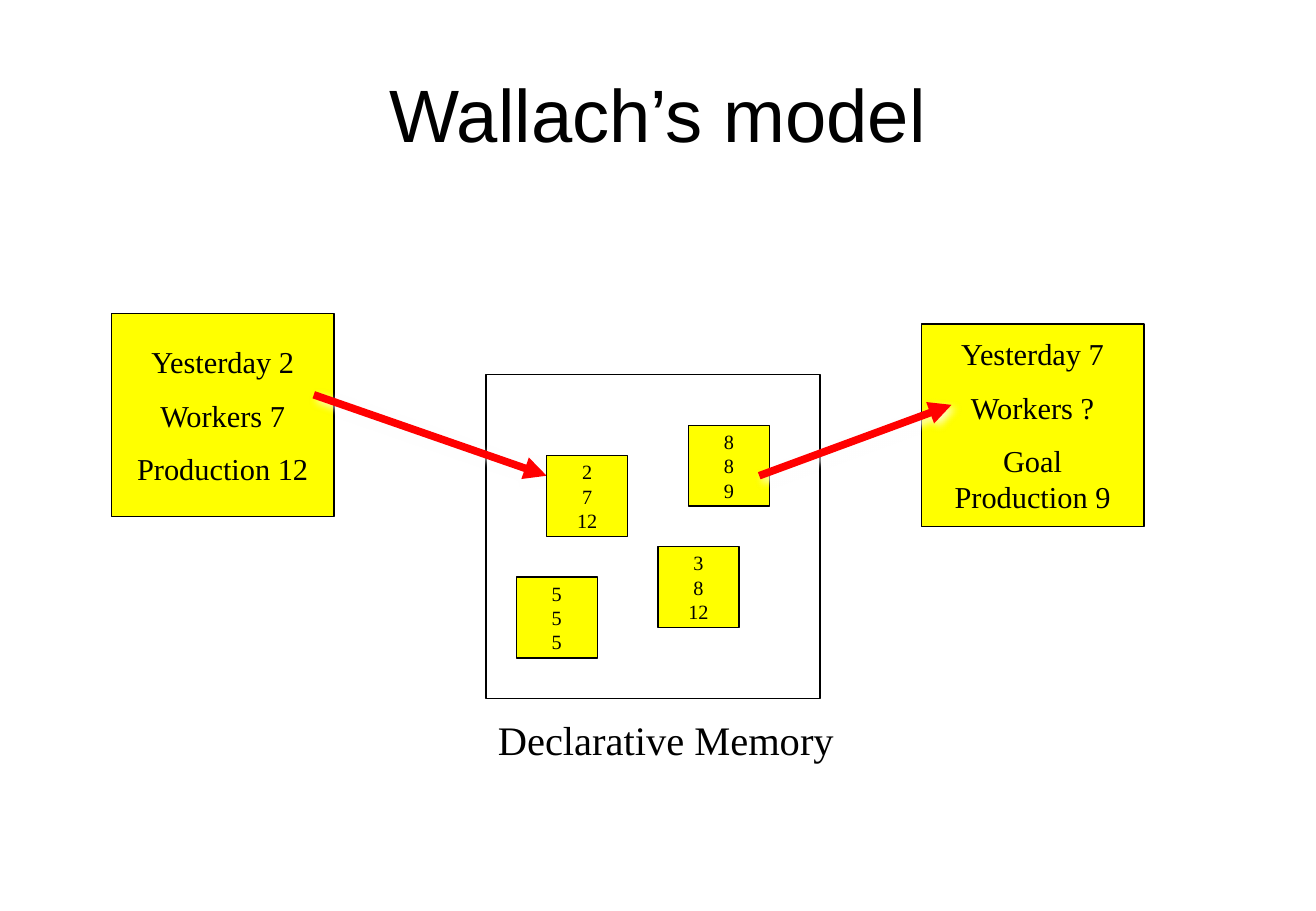
import pptx
import pptx.util
import pptx.dml.color
import pptx.enum.shapes
import pptx.enum.text
import pptx.oxml
import pptx.oxml.ns

Pt = pptx.util.Pt
RGB = pptx.dml.color.RGBColor
ALIGN = pptx.enum.text.PP_ALIGN
MIDDLE = pptx.enum.text.MSO_ANCHOR.MIDDLE

BLACK = RGB(0, 0, 0)
WHITE = RGB(255, 255, 255)
YELLOW = RGB(255, 255, 0)
RED = RGB(255, 0, 0)

SERIF = "Times New Roman"
HEAD = {"name": "Arial", "size": Pt(44)}
LABEL = {"name": SERIF, "size": Pt(24)}
CARD = {"name": SERIF, "size": Pt(18)}
CHUNK = {"name": SERIF, "size": Pt(12)}

# Left, top and lines of each memory chunk
CHUNKS = [
    (324, 270, ["2", "7", "12"]),
    (306, 342, ["5", "5", "5"]),
    (390, 324, ["3", "8", "12"]),
    (408, 252, ["8", "8", "9"]),
]

GLOW = (
    '<a:effectLst %s><a:outerShdw blurRad="63500" dist="38100" dir="2700000">'
    '<a:srgbClr val="%s"><a:alpha val="75000"/></a:srgbClr>'
    '</a:outerShdw></a:effectLst>'
)


def apply(thing, values):
    for name, value in values.items():
        setattr(thing, name, value)


def write(frame, lines, style, align, gap=0):
    """Fill a text frame, one paragraph for each line."""
    for i, line in enumerate(lines):
        para = frame.add_paragraph() if i else frame.paragraphs[0]
        para.text = line
        para.alignment = align
        if i:
            para.space_before = Pt(gap)
        for run in para.runs:
            apply(run.font, style)
            run.font.color.rgb = BLACK


def add_box(slide, left, top, width, height, fill):
    box = slide.shapes.add_shape(
        pptx.enum.shapes.MSO_SHAPE.RECTANGLE,
        Pt(left), Pt(top), Pt(width), Pt(height))
    box.shadow.inherit = False
    box.fill.solid()
    box.fill.fore_color.rgb = fill
    box.line.color.rgb = BLACK
    box.line.width = Pt(0.75)
    return box


def add_card(slide, place, lines, style, gap=0):
    frame = add_box(slide, *place, YELLOW).text_frame
    apply(frame, {"word_wrap": False, "vertical_anchor": MIDDLE})
    write(frame, lines, style, ALIGN.CENTER, gap)


def add_arrow(slide, *ends):
    arrow = slide.shapes.add_connector(
        pptx.enum.shapes.MSO_CONNECTOR.STRAIGHT, *map(Pt, ends))
    arrow.line.color.rgb = RED
    arrow.line.width = Pt(4.5)
    space = pptx.oxml.ns.nsdecls("a")
    tip = pptx.oxml.parse_xml('<a:tailEnd %s type="triangle"/>' % space)
    arrow.line._get_or_add_ln().append(tip)
    arrow._element.spPr.append(pptx.oxml.parse_xml(GLOW % (space, WHITE)))


def main():
    deck = pptx.Presentation()
    apply(deck, {"slide_width": Pt(780), "slide_height": Pt(540)})
    slide = deck.slides.add_slide(deck.slide_layouts[5])

    # Title
    title = slide.shapes.title
    apply(title, {"left": Pt(39), "top": Pt(21.6),
                  "width": Pt(702), "height": Pt(90)})
    title.text_frame.vertical_anchor = MIDDLE
    write(title.text_frame, ["Wallach’s model"], HEAD, ALIGN.CENTER)

    # Memory frame and its label
    add_box(slide, 288, 222, 198, 192, WHITE)
    label = slide.shapes.add_textbox(Pt(288), Pt(420), Pt(214), Pt(36))
    label.text_frame.word_wrap = False
    write(label.text_frame, ["Declarative Memory"], LABEL, ALIGN.LEFT)

    # Past state, stored as a chunk
    add_card(slide, (66, 186, 132, 120),
             ["Yesterday 2", "Workers 7", "Production 12"], CARD, 10)
    add_arrow(slide, 186, 234, 324, 282)
    for left, top, lines in CHUNKS:
        add_card(slide, (left, top, 48, 48), lines, CHUNK)

    # New goal, served by a chunk
    add_card(slide, (546, 192, 132, 120),
             ["Yesterday 7", "Workers ?", "Goal\vProduction 9"], CARD, 10)
    add_arrow(slide, 450, 282, 564, 240)

    deck.save("out.pptx")


if __name__ == "__main__":
    main()
